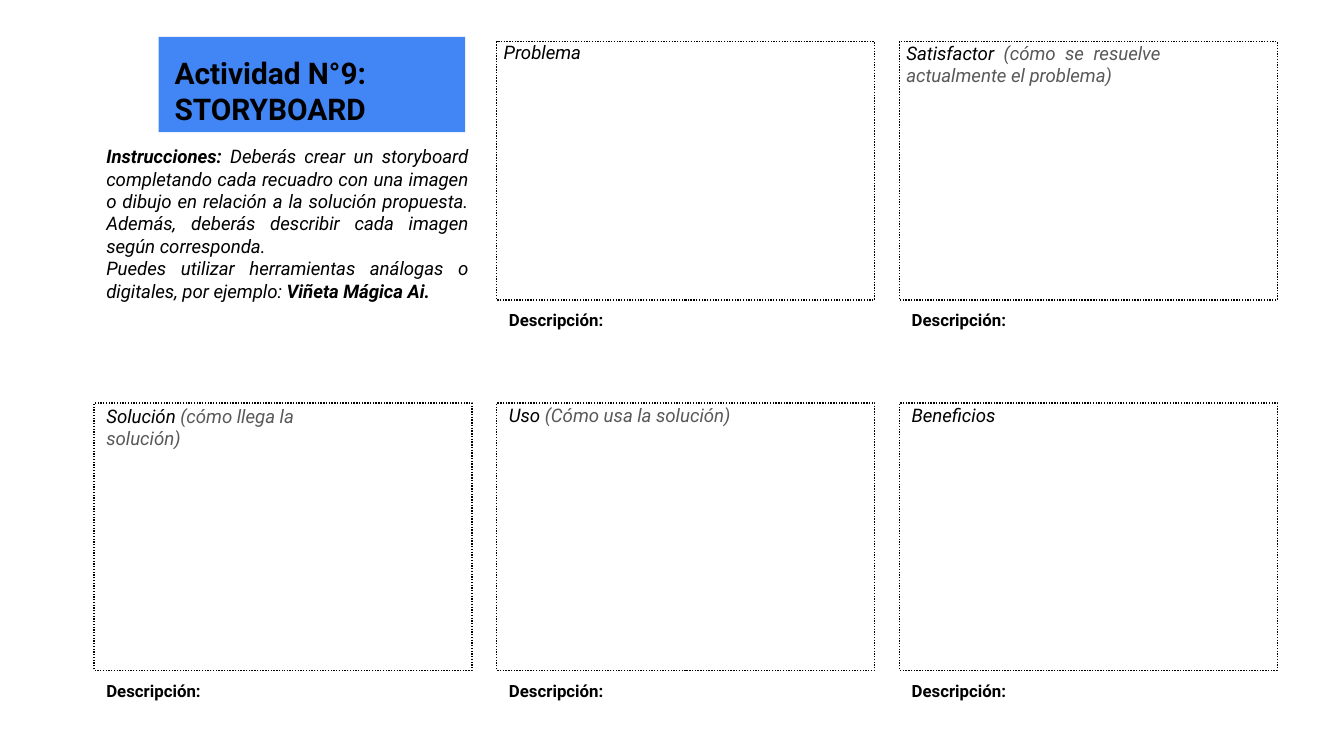
from dataclasses import dataclass

from pptx import Presentation
from pptx import util as u
from pptx.dml.color import RGBColor
from pptx.enum import dml, shapes, text


@dataclass(frozen=True)
class Theme:
    font: str = "Roboto"
    ink: str = "000000"
    muted: str = "595959"
    accent: str = "4285F4"
    title: float = 16
    body: float = 10
    caption: float = 9
    border: float = 0.75
    inset: float = 0.23


THEME = Theme()
JUSTIFY = text.PP_ALIGN.JUSTIFY

LEFT, COLUMN_STEP, PANEL_WIDTH = 1.78, 7.61, 7.14
CAPTION_HEIGHT = 0.84
ROWS = [
    {"top": 0.79, "height": 4.88, "label_shift": (-0.1, -0.23)},
    {"top": 7.62, "height": 5.05, "label_shift": (0, -0.2)},
]
PANELS = [
    (0, 1, 3.18, None, "Problema", ""),
    (0, 2, 5.26, JUSTIFY, "Satisfactor ", "(cómo se resuelve actualmente el problema)"),
    (1, 0, 5.36, None, "Solución ", "(cómo llega la solución)"),
    (1, 1, 6.91, None, "Uso ", "(Cómo usa la solución)"),
    (1, 2, 5.36, None, "Beneficios", ""),
]
INSTRUCTIONS = [
    [
        ("Instrucciones: ", {"bold": True}),
        ("Deberás crear un storyboard completando cada recuadro con una imagen "
         "o dibujo en relación a la solución propuesta. Además, deberás describir "
         "cada imagen según corresponda.", {}),
    ],
    [
        ("Puedes utilizar herramientas análogas o digitales, por ejemplo: ", {}),
        ("Viñeta Mágica Ai.", {"bold": True}),
    ],
]


def lengths(box):
    return [u.Cm(value) for value in box]


def add_rectangle(page, box):
    rectangle = page.shapes.add_shape(shapes.MSO_SHAPE.RECTANGLE, *lengths(box))
    rectangle.shadow.inherit = False
    return rectangle


def add_text(page, box, paragraphs, size, align=None, inset=THEME.inset, **base):
    frame = page.shapes.add_textbox(*lengths(box)).text_frame
    frame.word_wrap = True
    for side in ("left", "top", "right", "bottom"):
        setattr(frame, f"margin_{side}", u.Cm(inset))
    for index, spans in enumerate(paragraphs):
        para = frame.add_paragraph() if index else frame.paragraphs[0]
        para.alignment = align
        for words, changes in spans:
            span = para.add_run()
            span.text = words
            values = {"name": THEME.font, "size": u.Pt(size), **base, **changes}
            color = values.pop("color", THEME.ink)
            for name, value in values.items():
                setattr(span.font, name, value)
            span.font.color.rgb = RGBColor.from_string(color)


def add_heading(page, box):
    left, top, width, height = box
    banner = add_rectangle(page, box)
    banner.fill.solid()
    banner.fill.fore_color.rgb = RGBColor.from_string(THEME.accent)
    banner.line.fill.background()
    add_text(page, (left + 0.07, top + 0.1, 4.67, 1.04),
             [[("Actividad N°9: STORYBOARD", {})]], THEME.title, bold=True)


def add_instructions(page, box):
    add_text(page, box, INSTRUCTIONS, THEME.body, JUSTIFY, inset=0.25, italic=True)


def add_panel(page, box, label_shift, label_width, align, name, hint):
    left, top, width, height = box
    panel = add_rectangle(page, box)
    panel.fill.background()
    panel.line.color.rgb = RGBColor.from_string(THEME.ink)
    panel.line.width = u.Pt(THEME.border)
    panel.line.dash_style = dml.MSO_LINE.ROUND_DOT

    spans = [(name, {})]
    if hint:
        spans.append((hint, {"color": THEME.muted}))
    shift_x, shift_y = label_shift
    add_text(page, (left + shift_x, top + shift_y, label_width, 0.89),
             [spans], THEME.body, align, italic=True)
    add_text(page, (left, top + height, width, CAPTION_HEIGHT),
             [[("Descripción:", {})]], THEME.caption, bold=True)


def main():
    deck = Presentation()
    deck.slide_width, deck.slide_height = u.Cm(25.4), u.Cm(14.29)
    page = deck.slides.add_slide(deck.slide_layouts[6])
    add_heading(page, (3.0, 0.7, 5.79, 1.8))
    add_instructions(page, (1.76, 2.49, 7.34, 2.44))
    for row_index, column, label_width, align, name, hint in PANELS:
        row = ROWS[row_index]
        box = (LEFT + column * COLUMN_STEP, row["top"], PANEL_WIDTH, row["height"])
        add_panel(page, box, row["label_shift"], label_width, align, name, hint)
    deck.save("out.pptx")


if __name__ == "__main__":
    main()
